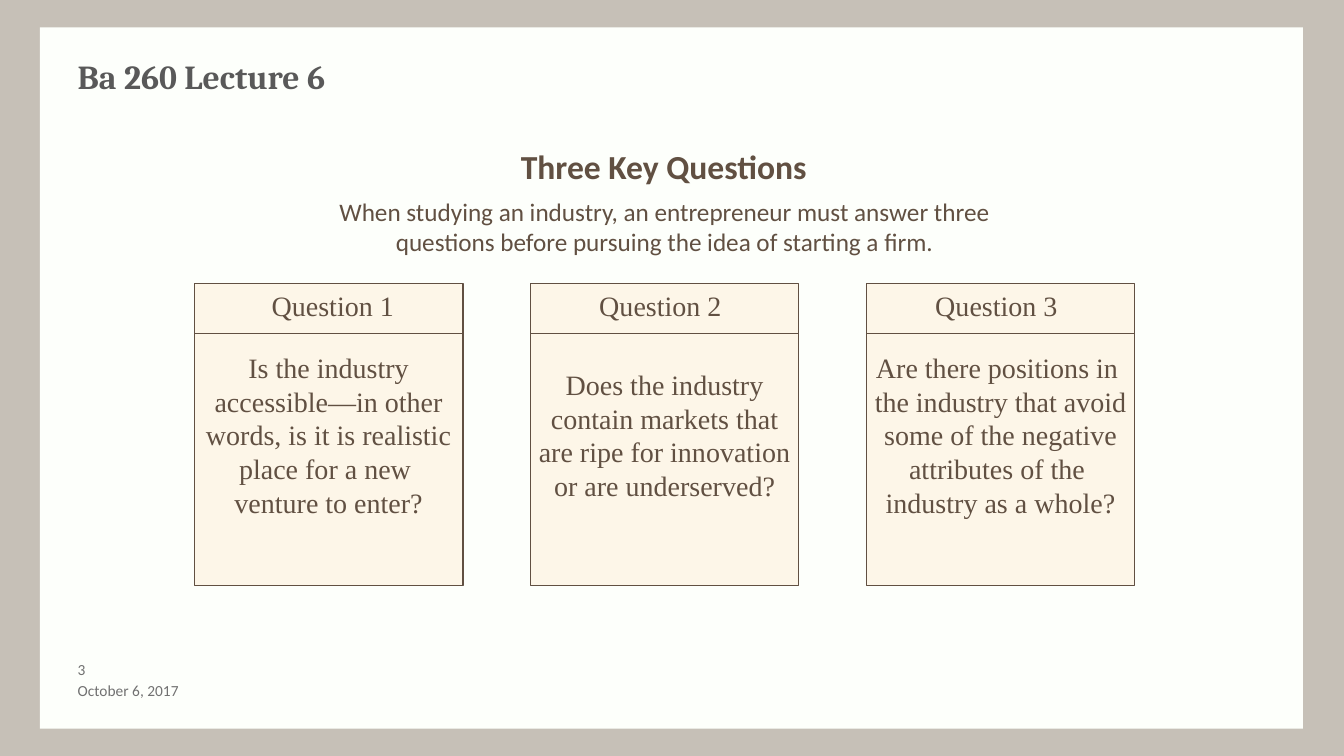
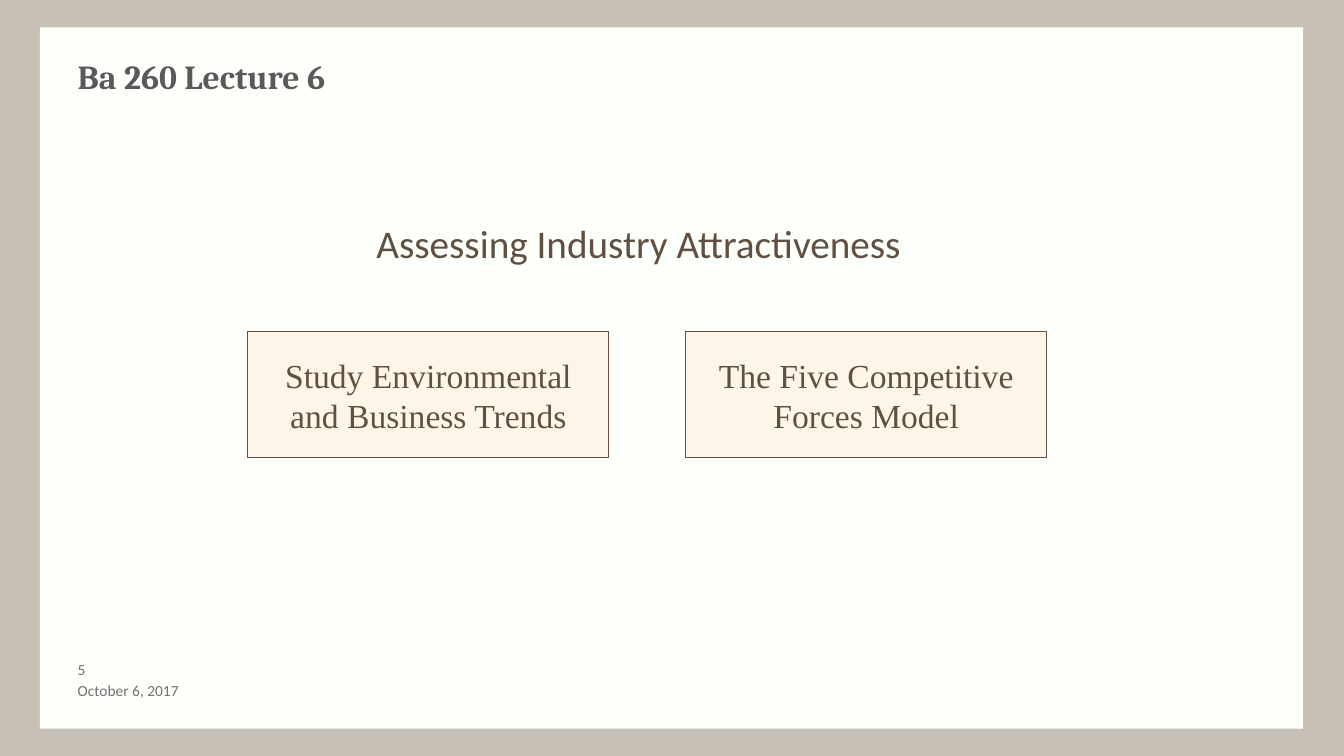
from lxml.etree import SubElement
from pptx import Presentation
from pptx.dml.color import RGBColor
from pptx.enum.shapes import MSO_CONNECTOR, MSO_SHAPE
from pptx.enum.text import MSO_ANCHOR, MSO_AUTO_SIZE, PP_ALIGN
from pptx.oxml.ns import qn
from pptx.util import Emu, Pt

EMU_PER_PX = 9525
SLIDE_SIZE = (1280, 720)
TITLE_ONLY = 5
COLORS = {
    "frame": "C6C0B7",
    "panel": "FDFFFB",
    "card": "FDF6E8",
    "brown": "615042",
    "title": "595959",
    "footer": "717171",
}
TITLE_FONT, TEXT_FONT, CARD_FONT = "Cambria", "Calibri", "Times New Roman"
LECTURE = "Ba 260 Lecture 6"
LECTURE_DATE = "October 6, 2017"

# Label, shift of the label box in px, lines of the question
QUESTIONS = [
    ("Question 1", 8, ["Is the industry", "accessible—in other", "words, is it is realistic",
                       "place for a new ", "venture to enter?"]),
    ("Question 2", 0, ["Does the industry", "contain markets that",
                       "are ripe for innovation", "or are underserved?"]),
    ("Question 3", 0, ["Are there positions in ", "the industry that avoid",
                       "some of the negative", "attributes of the ", "industry as a whole?"]),
]
METHODS = [
    ["Study Environmental", "and Business Trends"],
    ["The Five Competitive", "Forces Model"],
]


def px(*lengths):
    return [Emu(length * EMU_PER_PX) for length in lengths]


def color(name):
    return RGBColor.from_string(COLORS[name])


def write(shape, lines, *, size, font=TEXT_FONT, ink="brown", bold=False,
          align=PP_ALIGN.LEFT, anchor=MSO_ANCHOR.TOP, wrap=True, insets=(10, 5, 10, 5)):
    """Put one paragraph per line into the shape; insets run left, top, right, bottom."""
    frame = shape.text_frame
    frame.text = "\n".join(lines)
    frame.auto_size = MSO_AUTO_SIZE.NONE
    frame.word_wrap = wrap
    frame.vertical_anchor = anchor
    (frame.margin_left, frame.margin_top,
     frame.margin_right, frame.margin_bottom) = px(*insets)
    for paragraph in frame.paragraphs:
        paragraph.alignment = align
        for run in paragraph.runs:
            run.font.name = font
            run.font.size = Pt(size)
            run.font.bold = bold
            run.font.color.rgb = color(ink)


def add_text(slide, box, text, **text_format):
    write(slide.shapes.add_textbox(*px(*box)), [text], **text_format)


def add_box(slide, box, fill, line=None):
    rect = slide.shapes.add_shape(MSO_SHAPE.RECTANGLE, *px(*box))
    rect.shadow.inherit = False
    rect.fill.solid()
    rect.fill.fore_color.rgb = color(fill)
    if line:
        rect.line.color.rgb = color(line)
        rect.line.width = Pt(0.75)
    else:
        rect.line.fill.background()
    return rect


def add_card(slide, box, lines, size):
    write(add_box(slide, box, "card", "brown"), lines, size=size, font=CARD_FONT,
          align=PP_ALIGN.CENTER, anchor=MSO_ANCHOR.MIDDLE, wrap=False)


def add_divider(slide, left, top, width):
    divider = slide.shapes.add_connector(
        MSO_CONNECTOR.STRAIGHT, *px(left, top, left + width, top))
    divider.line.color.rgb = color("brown")
    divider.line.width = Pt(0.75)
    SubElement(divider.element.spPr, qn("a:effectLst"))


def style_master(master, slide):
    """Give the master its frame colour and the panel, which is drawn on a slide and moved."""
    master.background.fill.solid()
    master.background.fill.fore_color.rgb = color("frame")
    panel = add_box(slide, (38, 26, 1203, 668), "panel")
    master.shapes.element.insert(2, panel.element)


def add_lecture_slide(prs, number):
    slide = prs.slides.add_slide(prs.slide_layouts[TITLE_ONLY])
    title = slide.shapes.title
    title.left, title.top, title.width, title.height = px(64, 48, 1152, 72)
    write(title, [LECTURE], size=24, font=TITLE_FONT, ink="title", bold=True)
    add_text(slide, (64, 648, 256, 19), LECTURE_DATE, size=11, ink="footer",
             anchor=MSO_ANCHOR.MIDDLE, insets=(10, 0, 10, 0))
    add_text(slide, (64, 629, 51, 19), str(number), size=11, ink="footer",
             insets=(10, 0, 0, 0))
    return slide


def add_key_questions(slide):
    add_text(slide, (486, 134, 295, 48), "Three Key Questions", size=24, bold=True, wrap=False)
    add_text(slide, (313, 182, 640, 68),
             "When studying an industry, an entrepreneur must answer three "
             "questions before pursuing the idea of starting a firm.",
             size=18, align=PP_ALIGN.CENTER)
    top, width, gap = 270, 256, 64
    for column, (label, shift, lines) in enumerate(QUESTIONS):
        left = 185 + column * (width + gap)
        add_card(slide, (left, top, width, 288), lines, 20)
        add_divider(slide, left, top + 48, width)
        add_text(slide, (left + shift, top, 248, 42), label, size=20,
                 font=CARD_FONT, align=PP_ALIGN.CENTER)


def add_attractiveness(slide):
    add_text(slide, (332, 204, 552, 55), "Assessing Industry Attractiveness",
             size=28, align=PP_ALIGN.CENTER)
    width, gap = 344, 73
    for column, lines in enumerate(METHODS):
        add_card(slide, (236 + column * (width + gap), 316, width, 120), lines, 24)


def main():
    prs = Presentation()
    prs.slide_width, prs.slide_height = px(*SLIDE_SIZE)
    questions = add_lecture_slide(prs, 3)
    style_master(prs.slide_master, questions)
    add_key_questions(questions)
    add_attractiveness(add_lecture_slide(prs, 5))
    prs.save("out.pptx")


if __name__ == "__main__":
    main()
